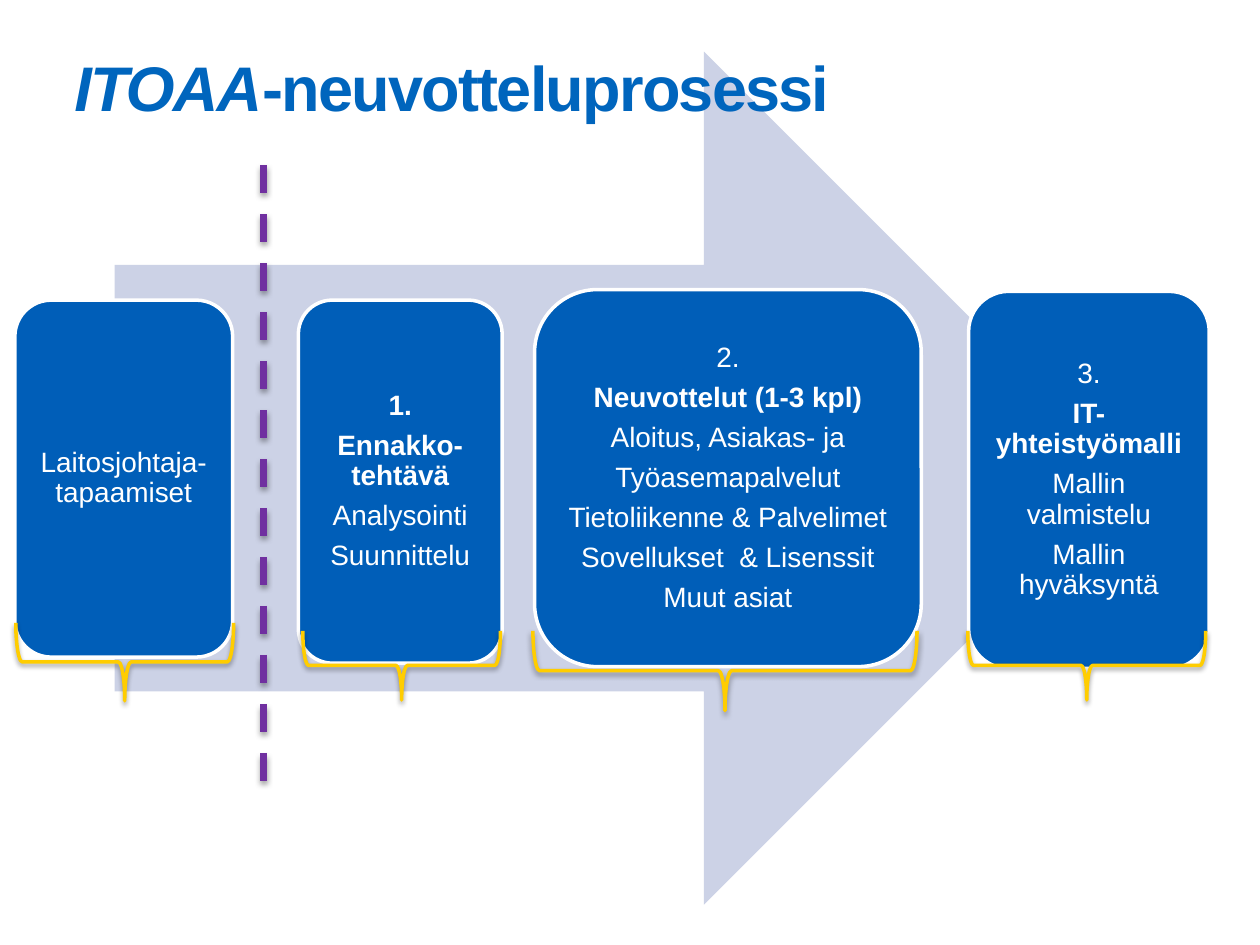
from lxml import etree
from pptx import Presentation
from pptx import util as u
from pptx.dml.color import RGBColor
from pptx.enum import dml, shapes, text
from pptx.oxml import parse_xml
from pptx.oxml.ns import nsdecls, qn

COLORS = {"card": "005EB8", "arrow": "CCD2E6", "title": "0065BD", "white": "FFFFFF",
          "brace": "FFCD00", "divide": "7030A0", "shade": "000000"}
CARDS = [
    ((8.5, 171.5, 124.5, 204), (9, 356, 124.5, 44.5), ["Laitosjohtaja-tapaamiset"], []),
    ((170.5, 171.5, 116.5, 207.5), (173, 360.5, 113, 39.5),
     ["1.", "Ennakko-tehtävä", "Analysointi", "Suunnittelu"], [0, 1]),
    ((305.5, 165.5, 221, 215.5), (304.5, 360.5, 219.5, 45.5),
     ["2.", "Neuvottelut (1-3 kpl)", "Aloitus, Asiakas- ja", "Työasemapalvelut",
      "Tietoliikenne & Palvelimet", "Sovellukset  & Lisenssit", "Muut asiat"], [1]),
    ((553.5, 166.5, 137.5, 215.5), (553, 360.5, 136, 39.5),
     ["3.", "IT-yhteistyömalli", "Mallin valmistelu", "Mallin hyväksyntä"], [1]),
]


class Deck:
    """Hold the style and the current slide, and draw each kind of element."""

    def __init__(self, font="Arial"):
        self.font = font
        self.prs = Presentation()
        self.prs.slide_width, self.prs.slide_height = u.Pt(720), u.Pt(540)
        self.slide = self.prs.slides.add_slide(self.prs.slide_layouts[6])

    def color(self, name):
        return RGBColor.from_string(COLORS[name])

    def style(self, font, size, color, bold):
        font.name, font.size, font.bold = self.font, u.Pt(size), bold
        font.color.rgb = self.color(color)

    def stroke(self, line, color, width):
        line.color.rgb = self.color(color)
        line.width = u.Pt(width)

    def shape(self, kind, box, fill=None, line=None, width=2):
        item = self.slide.shapes.add_shape(kind, *map(u.Pt, box))
        item.shadow.inherit = False
        if fill:
            item.fill.solid()
            item.fill.fore_color.rgb = self.color(fill)
        else:
            item.fill.background()
        if line:
            self.stroke(item.line, line, width)
        else:
            item.line.fill.background()
        return item

    def shadow(self, item):
        props = item._element.spPr
        for old in props.findall(qn("a:effectLst")):
            props.remove(old)
        props.append(parse_xml(
            f'<a:effectLst {nsdecls("a")}><a:outerShdw blurRad="{u.Pt(3.1)}" '
            f'dist="{u.Pt(1.6)}" dir="5400000" rotWithShape="0">'
            f'<a:srgbClr val="{COLORS["shade"]}"><a:alpha val="38000"/></a:srgbClr>'
            '</a:outerShdw></a:effectLst>'))

    def frame(self, item, inset, anchor):
        frame = item.text_frame
        frame.word_wrap = True
        frame.vertical_anchor = anchor
        frame.margin_left = frame.margin_right = u.Pt(inset)
        frame.margin_top = frame.margin_bottom = u.Pt(inset)
        return frame

    def card(self, box, lines, bolds):
        item = self.shape(shapes.MSO_SHAPE.ROUNDED_RECTANGLE, box, "card", "white")
        frame = self.frame(item, 5, text.MSO_ANCHOR.MIDDLE)
        for i, line in enumerate(lines):
            para = frame.add_paragraph() if i else frame.paragraphs[0]
            para.text = line
            para.alignment = text.PP_ALIGN.CENTER
            para.line_spacing, para.space_after = 0.9, u.Pt(5.6)
            self.style(para.font, 16, "white", i in bolds)

    def title(self, box, parts):
        item = self.slide.shapes.add_textbox(*map(u.Pt, box))
        para = self.frame(item, 0, text.MSO_ANCHOR.TOP).paragraphs[0]
        para.line_spacing = 0.85
        for words, slant in parts:
            run = para.add_run()
            run.text = words
            self.style(run.font, 36, "title", True)
            run.font.italic = slant
            run._r.get_or_add_rPr().set("spc", "-100")

    def brace(self, box):
        left, top, wide, high = box
        shift = (wide - high) / 2
        turned = left + shift, top - shift, high, wide
        item = self.shape(shapes.MSO_SHAPE.RIGHT_BRACE, turned, line="brace")
        item.rotation = 90
        self.shadow(item)

    def divide(self, x, top, bottom):
        item = self.slide.shapes.add_connector(
            shapes.MSO_CONNECTOR.STRAIGHT, *map(u.Pt, (x, top, x, bottom)))
        self.stroke(item.line, "divide", 4)
        item.line.dash_style = dml.MSO_LINE.DASH
        self.shadow(item)


def main():
    deck = Deck()
    deck.shape(shapes.MSO_SHAPE.RIGHT_ARROW, (65.5, 29.5, 580.5, 487.5), "arrow")
    for box, _, lines, bolds in CARDS:
        deck.card(box, lines, bolds)
    deck.title((42.5, 34.5, 636.5, 94.5), [("ITOAA", True), ("-neuvotteluprosessi", False)])
    for _, box, _, _ in CARDS:
        deck.brace(box)
    deck.divide(150.5, 94.5, 453)
    deck.prs.save("out.pptx")


if __name__ == "__main__":
    main()
